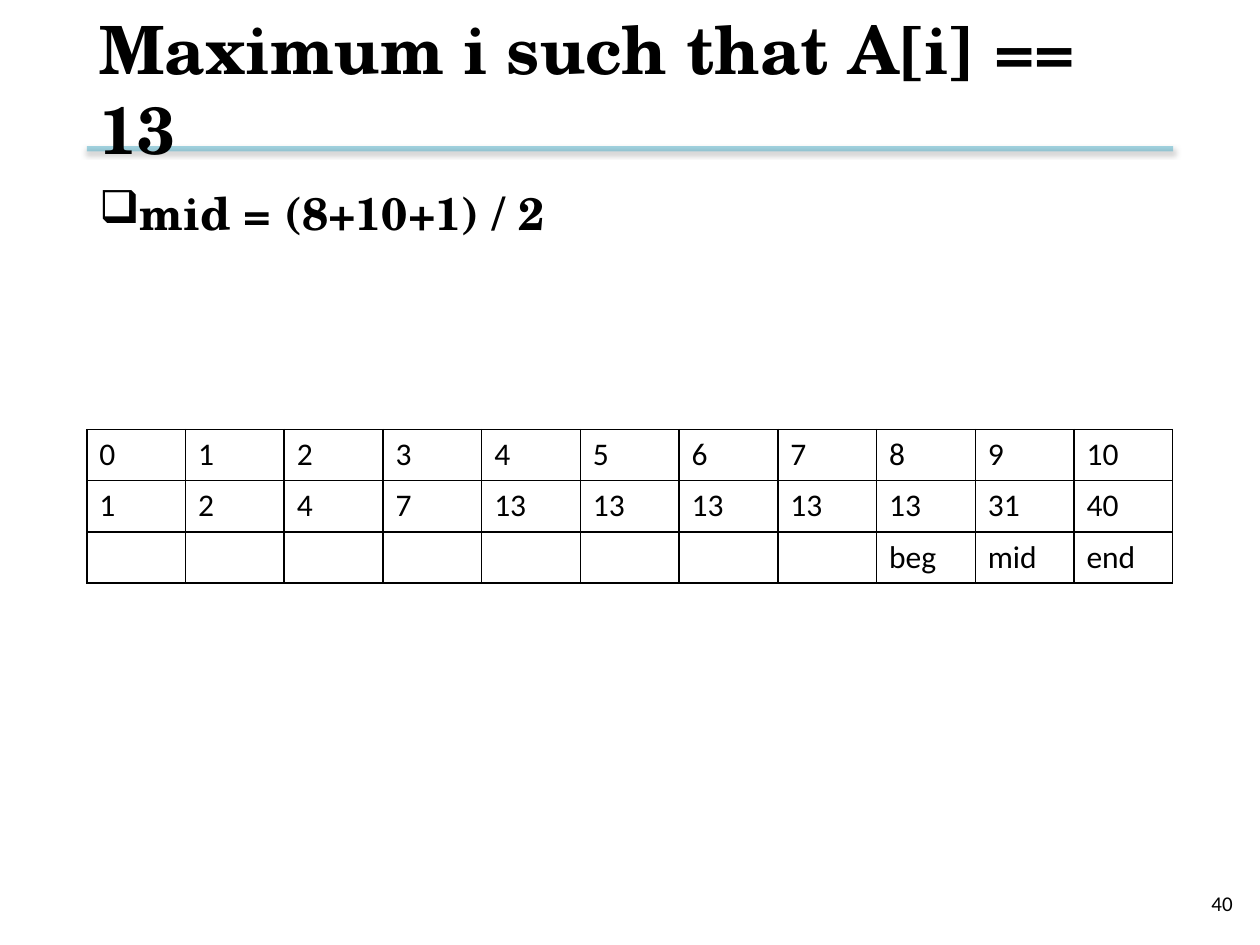
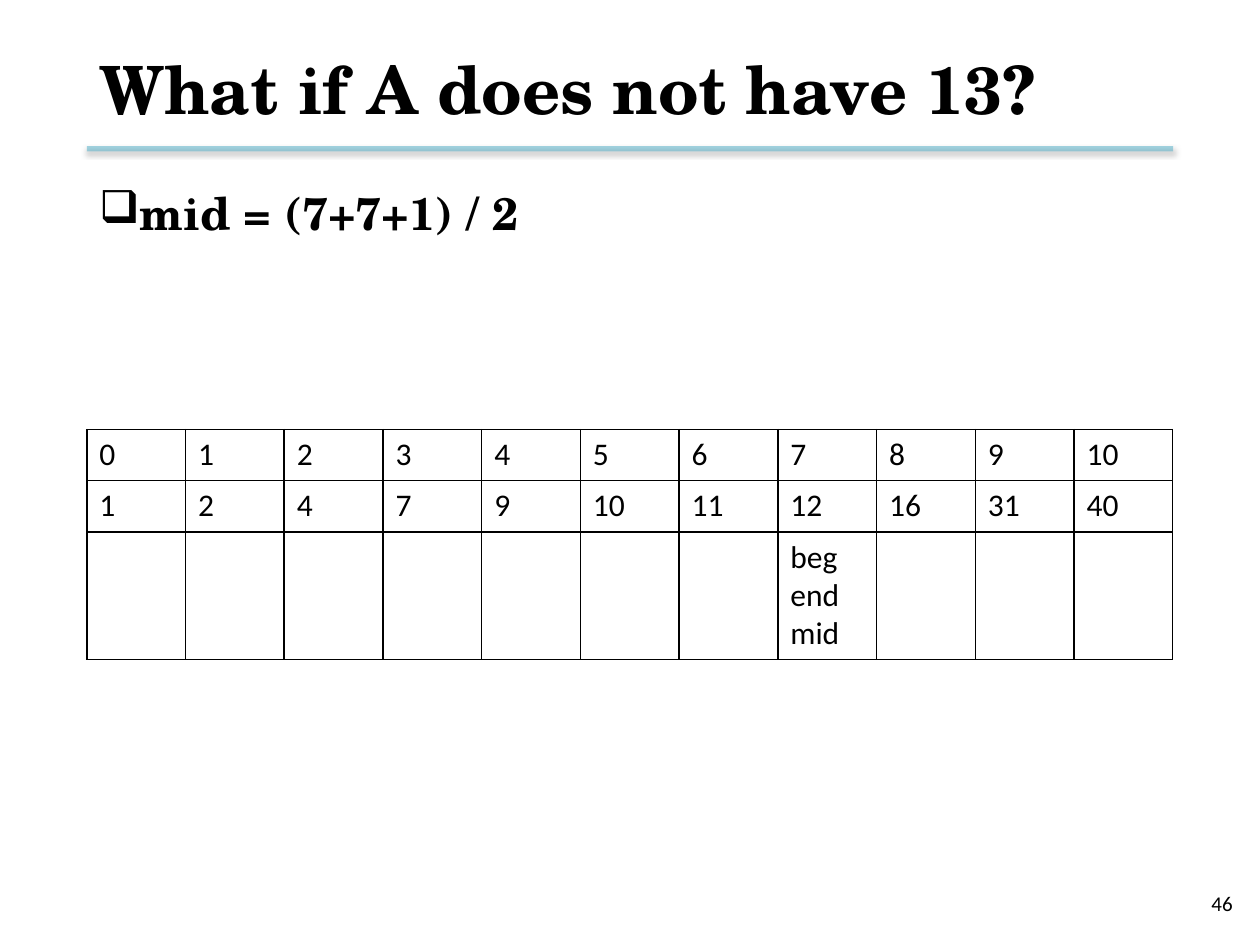
from dataclasses import dataclass

from lxml.etree import SubElement
from pptx import Presentation
from pptx.dml.color import RGBColor
from pptx.enum.shapes import MSO_CONNECTOR as Connector
from pptx.enum.text import MSO_ANCHOR as Anchor, PP_ALIGN as Align
from pptx.oxml import parse_xml
from pptx.oxml.ns import nsdecls, qn
from pptx.util import Cm, Pt


@dataclass(frozen=True)
class Theme:
    """Colours, fonts, type sizes and margins of the deck."""
    ink: str = "000000"
    accent: str = "4BACC6"
    serif: str = "TeX Gyre Schola"
    sans: str = "Calibri"
    title_size: int = 38
    body_size: int = 26
    cell_size: int = 18
    number_size: int = 12
    left: float = 1.75
    width: float = 21.9
    row_height: float = 1.03
    line_step: float = 0.77


class Deck:
    """Draws the elements of the lecture on the current slide."""

    def __init__(self, theme):
        """Start an empty deck with the given theme."""
        self.theme = theme
        self.show = Presentation()
        self.show.slide_width, self.show.slide_height = Cm(25.4), Cm(19.05)
        self.slide = None

    def new_slide(self):
        """Add a blank slide and make it current."""
        self.slide = self.show.slides.add_slide(self.show.slide_layouts[6])

    def style(self, paragraph, name, size, bold=False):
        """Format every run of a paragraph."""
        look = {"name": name, "size": Pt(size), "bold": bold}
        for run in paragraph.runs:
            for attribute, value in look.items():
                setattr(run.font, attribute, value)
            run.font.color.rgb = RGBColor.from_string(self.theme.ink)

    def text(self, words, box, anchor, **look):
        """Write one paragraph in a box and return it."""
        frame = self.slide.shapes.add_textbox(*map(Cm, box)).text_frame
        for attribute, value in {"word_wrap": True, "vertical_anchor": anchor}.items():
            setattr(frame, attribute, value)
        paragraph = frame.paragraphs[0]
        paragraph.text = words
        self.style(paragraph, **look)
        return paragraph

    def rule(self):
        """Draw the soft-shadowed rule under the title."""
        t = self.theme
        rule = self.slide.shapes.add_connector(
            Connector.STRAIGHT, Cm(t.left), Cm(3), Cm(t.left + t.width), Cm(3))
        rule.line.width = Pt(3)
        rule.line.color.rgb = RGBColor.from_string(t.accent)
        properties = rule._element.spPr
        colour = next(properties.iter(qn("a:srgbClr")))
        SubElement(colour, qn("a:alpha"), val="50000")
        properties.append(parse_xml(
            f'<a:effectLst {nsdecls("a")}><a:outerShdw blurRad="{Pt(3.1)}" '
            f'dist="{Pt(1.6)}" dir="5400000" rotWithShape="0">'
            f'<a:srgbClr val="{t.ink}"><a:alpha val="38000"/></a:srgbClr>'
            '</a:outerShdw></a:effectLst>'))

    def number(self, value):
        """Write the slide number."""
        paragraph = self.text(str(value), (19.18, 17.7, 5.92, 1.02), Anchor.MIDDLE,
                              name=self.theme.sans, size=self.theme.number_size)
        paragraph.alignment = Align.RIGHT

    def title(self, words):
        """Write the slide title."""
        t = self.theme
        self.text(words, (t.left, 0.43, t.width, 2.69), Anchor.MIDDLE,
                  name=t.serif, size=t.title_size, bold=True)

    def bullet(self, words):
        """Write the bulleted formula."""
        t = self.theme
        paragraph = self.text(words, (t.left, 3.61, t.width, 12.95), Anchor.TOP,
                              name=t.serif, size=t.body_size, bold=True)
        properties = paragraph._p.get_or_add_pPr()
        for key, value in {"marL": Cm(0.64), "indent": Cm(-1.14)}.items():
            properties.set(key, str(value))
        SubElement(properties, qn("a:buChar"), char="❑")

    def cell(self, cell, words):
        """Fill one table cell and draw its borders."""
        t = self.theme
        cell.text = words
        for paragraph in cell.text_frame.paragraphs:
            self.style(paragraph, t.sans, t.cell_size)
        properties = cell._tc.get_or_add_tcPr()
        for side in "LRTB":
            properties.append(parse_xml(
                f'<a:ln{side} {nsdecls("a")} w="{Pt(1)}"><a:solidFill>'
                f'<a:srgbClr val="{t.ink}"/></a:solidFill></a:ln{side}>'))
        cell.fill.background()

    def array(self, values, markers):
        """Draw the indices, the values and the search markers as a table."""
        t = self.theme
        rows = (range(len(values)), values,
                [markers.get(index, "") for index in range(len(values))])
        heights = [t.row_height + t.line_step * max(str(word).count("\n") for word in row)
                   for row in rows]
        table = self.slide.shapes.add_table(
            len(rows), len(values), Cm(t.left), Cm(8.66),
            Cm(t.width), Cm(sum(heights))).table
        for attribute in ("first_row", "horz_banding"):
            setattr(table, attribute, False)
        for column in table.columns:
            column.width = Cm(t.width / len(values))
        for r, (row, height) in enumerate(zip(rows, heights)):
            table.rows[r].height = Cm(height)
            for c, word in enumerate(row):
                self.cell(table.cell(r, c), str(word))


STEPS = (
    (40, "Maximum i such that A[i] == 13", "mid = (8+10+1) / 2",
     (1, 2, 4, 7, 13, 13, 13, 13, 13, 31, 40),
     {8: "beg", 9: "mid", 10: "end"}),
    (46, "What if A does not have 13?", "mid = (7+7+1) / 2",
     (1, 2, 4, 7, 9, 10, 11, 12, 16, 31, 40),
     {7: "beg\nend\nmid"}),
)


def main():
    """Build the search steps and save the deck."""
    deck = Deck(Theme())
    for number, title, formula, values, markers in STEPS:
        deck.new_slide()
        deck.rule()
        deck.number(number)
        deck.title(title)
        deck.array(values, markers)
        deck.bullet(formula)
    deck.show.save("out.pptx")


if __name__ == "__main__":
    main()
